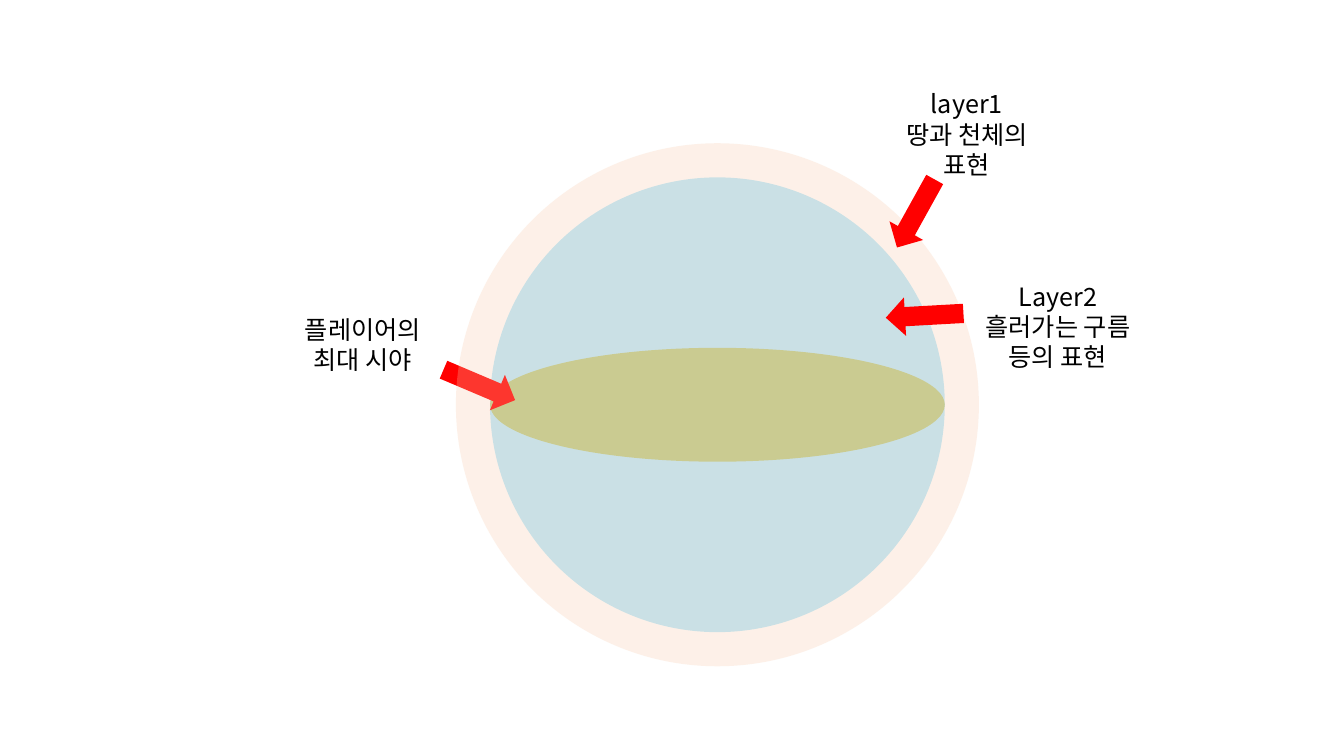
"""Builds a slide showing a player's view inside two nested sky layers."""
from lxml.etree import SubElement
from pptx import Presentation
from pptx.dml.color import RGBColor as Rgb
from pptx.enum.shapes import MSO_SHAPE as Shape
from pptx.enum.text import MSO_AUTO_SIZE as AutoSize, PP_ALIGN as Align
from pptx.oxml.ns import qn
from pptx.util import Cm, Pt

FONT = "Noto Sans CJK KR"
COLORS = {"view": "FFC000", "clouds": "00B0F0", "sky": "F8CBAD",
          "arrow": "FF0000", "text": "000000"}
CENTER = (18.08, 10.2)
ARROW_SIZE = (1.96, 0.97)

deck = Presentation()
deck.slide_width, deck.slide_height = Cm(33.87), Cm(19.05)
page = deck.slides.add_slide(deck.slide_layouts[6])


def add_figure(kind, center, size, color, opacity=100, rotation=0):
    """Adds a borderless filled shape around a centre point."""
    left, top = (middle - length / 2 for middle, length in zip(center, size))
    figure = page.shapes.add_shape(kind, Cm(left), Cm(top), Cm(size[0]), Cm(size[1]))
    figure.shadow.inherit = False
    figure.rotation = rotation
    figure.line.fill.background()
    figure.fill.solid()
    figure.fill.fore_color.rgb = Rgb.from_string(COLORS[color])
    if opacity < 100:
        tint = figure.fill._xPr.find(qn("a:solidFill"))[0]
        SubElement(tint, qn("a:alpha"), val=str(opacity * 1000))


def add_label(text, left, top, width, height, wrap=False, size=18, color="text"):
    """Adds a centred label with one paragraph per line of text."""
    box = page.shapes.add_textbox(Cm(left), Cm(top), Cm(width), Cm(height))
    frame = box.text_frame
    frame.word_wrap = wrap
    frame.auto_size = AutoSize.SHAPE_TO_FIT_TEXT
    frame.text = text
    for para in frame.paragraphs:
        para.alignment = Align.CENTER
        for span in para.runs:
            span.font.name = FONT
            span.font.size = Pt(size)
            span.font.color.rgb = Rgb.from_string(COLORS[color])
            SubElement(span.font._element, qn("a:ea"), typeface=FONT)


add_figure(Shape.OVAL, CENTER, (11.46, 2.87), "view", opacity=62)
add_figure(Shape.OVAL, CENTER, (11.46, 11.46), "clouds", opacity=27)
add_figure(Shape.RIGHT_ARROW, (12.08, 9.7), ARROW_SIZE, "arrow", rotation=23)
add_label("플레이어의\n최대 시야", 7.29, 7.8, 3.71, 1.8)
add_label("layer1\n땅과 천체의\n표현", 21.95, 2.11, 4.83, 2.57, wrap=True)
add_figure(Shape.OVAL, CENTER, (13.18, 13.18), "sky", opacity=27)
for center, rotation in [((23.08, 5.38), 119), ((23.3, 7.95), 176.8)]:
    add_figure(Shape.RIGHT_ARROW, center, ARROW_SIZE, "arrow", rotation=rotation)
add_label("Layer2\n흘러가는 구름\n등의 표현", 24.36, 6.96, 4.6, 2.57)

deck.save("out.pptx")
